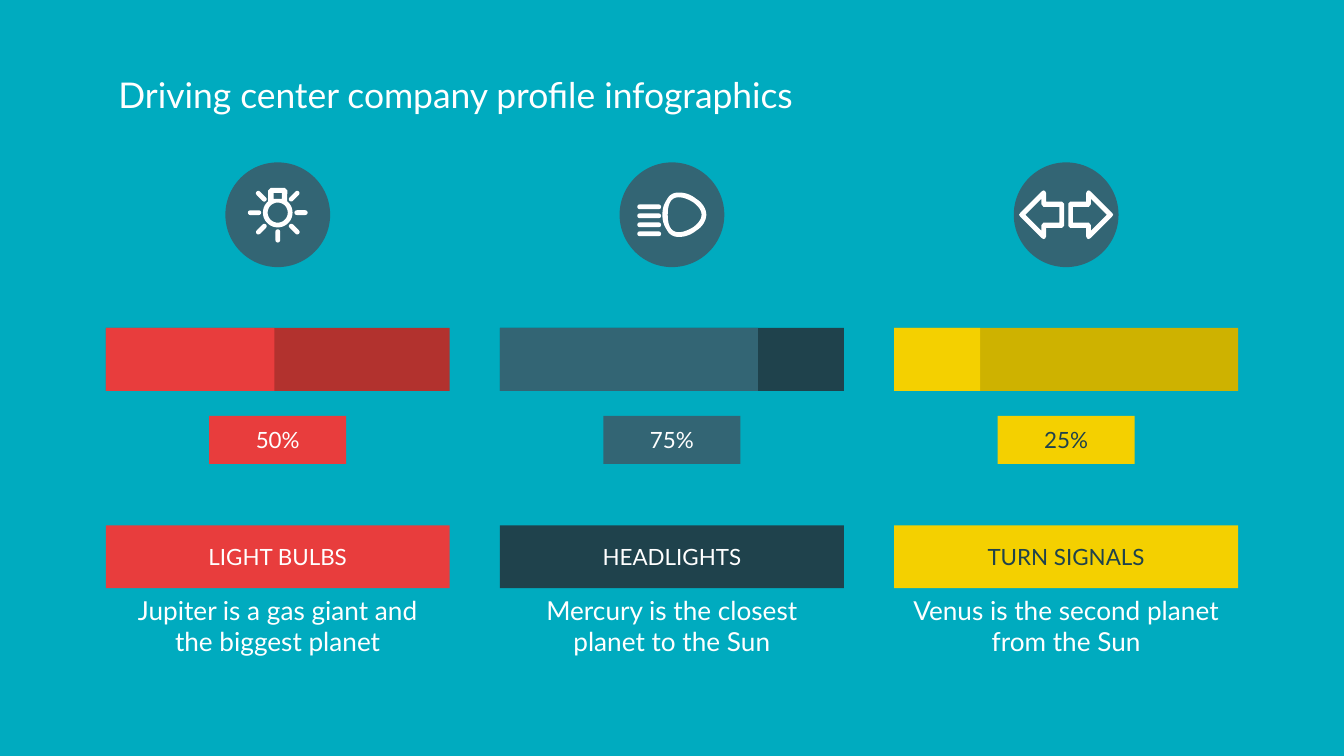
from dataclasses import dataclass
from math import cos, radians, sin

from pptx import Presentation
from pptx.dml.color import RGBColor
from pptx.enum.shapes import MSO_SHAPE as Preset
from pptx.enum.text import MSO_ANCHOR as Anchor, PP_ALIGN as Align
from pptx.util import Cm, Pt


@dataclass(frozen=True)
class Theme:
    font: str = "Lato"
    background: str = "00ABBF"
    white: str = "FFFFFF"
    red: str = "E83D3D"
    dark_red: str = "B2322E"
    slate: str = "336574"
    dark_slate: str = "1F424C"
    yellow: str = "F4D000"
    dark_yellow: str = "CEB200"
    title_size: int = 19
    label_size: int = 12
    body_size: int = 14


class Page:
    def __init__(self, slide, theme):
        self.slide = slide
        self.theme = theme
        slide.background.fill.solid()
        slide.background.fill.fore_color.rgb = RGBColor.from_string(theme.background)

    def paint(self, shape, color):
        shape.shadow.inherit = False
        shape.fill.solid()
        shape.fill.fore_color.rgb = RGBColor.from_string(color)
        shape.line.fill.background()

    def set_text(self, shape, text, size, color, align, anchor):
        frame = shape.text_frame
        frame.word_wrap = True
        frame.vertical_anchor = anchor
        frame.margin_left = frame.margin_right = Cm(0.25)
        frame.margin_top = frame.margin_bottom = Cm(0.25)
        paragraph = frame.paragraphs[0]
        paragraph.text = text
        paragraph.alignment = align
        paragraph.font.name = self.theme.font
        paragraph.font.size = Pt(size)
        paragraph.font.color.rgb = RGBColor.from_string(color)

    def text(self, box, text, size, align=Align.CENTER, anchor=Anchor.MIDDLE):
        shape = self.slide.shapes.add_textbox(*map(Cm, box))
        self.set_text(shape, text, size, self.theme.white, align, anchor)

    def block(self, box, color, preset=Preset.RECTANGLE):
        shape = self.slide.shapes.add_shape(preset, *map(Cm, box))
        self.paint(shape, color)
        return shape

    def label(self, box, color, text, text_color):
        shape = self.block(box, color)
        self.set_text(shape, text, self.theme.label_size, text_color,
                      Align.CENTER, Anchor.MIDDLE)

    def stroke(self, x, y, length, rotation=0):
        thickness = 0.09
        box = x - length / 2, y - thickness / 2, length, thickness
        shape = self.block(box, self.theme.white, Preset.ROUNDED_RECTANGLE)
        shape.adjustments[0] = 0.5
        shape.rotation = rotation

    def outline(self, x, y, *contours):
        placed = [[(Cm(x + dx), Cm(y + dy)) for dx, dy in contour]
                  for contour in contours]
        builder = self.slide.shapes.build_freeform(*placed[0][0])
        for index, (start, *rest) in enumerate(placed):
            if index:
                builder.move_to(*start)
            builder.add_line_segments(rest, close=True)
        self.paint(builder.convert_to_shape(), self.theme.white)


def arc(radius, first, last, step):
    return [(radius * sin(radians(angle)), -radius * cos(radians(angle)))
            for angle in range(first, last + 1, step)]


def curve(start, *segments, steps=8):
    points = [start]
    for control_a, control_b, end in segments:
        corners = points[-1], control_a, control_b, end
        for step in range(1, steps + 1):
            t = step / steps
            weights = (1 - t) ** 3, 3 * t * (1 - t) ** 2, 3 * t * t * (1 - t), t ** 3
            points.append(tuple(sum(weight * corner[axis] for weight, corner
                                    in zip(weights, corners)) for axis in (0, 1)))
    return points


def mirror_down(points):
    return points + [(x, -y) for x, y in reversed(points) if y]


def draw_bulb(page, x, y):
    y -= 0.04
    base = [(-0.18, -0.42), (-0.13, -0.47), (0.13, -0.47), (0.18, -0.42)]
    hole = [(-0.08, -0.37), (0.08, -0.37), (0.08, -0.26), (-0.08, -0.26)]
    page.outline(x, y, base + arc(0.28, 40, 320, 10), arc(0.19, 0, 350, 10), hole)
    for angle, (dx, dy) in zip(range(45, 360, 45), arc(0.44, 45, 315, 45)):
        page.stroke(x + dx, y + dy, 0.25, angle - 90)


def draw_headlight(page, x, y):
    outer = curve((-0.18, 0),
                  ((-0.18, -0.13), (-0.15, -0.2), (-0.1, -0.28)),
                  ((-0.05, -0.38), (0.03, -0.42), (0.13, -0.42)),
                  ((0.25, -0.42), (0.36, -0.38), (0.46, -0.3)),
                  ((0.58, -0.23), (0.65, -0.1), (0.65, 0)))
    inner = curve((-0.08, 0),
                  ((-0.08, -0.28), (0.03, -0.33), (0.13, -0.33)),
                  ((0.23, -0.33), (0.33, -0.28), (0.41, -0.23)),
                  ((0.51, -0.15), (0.56, -0.08), (0.56, 0)))
    page.outline(x, y, mirror_down(outer), mirror_down(inner))
    for row in range(4):
        page.stroke(x - 0.43, y - 0.15 + 0.17 * row, 0.45)


def draw_turn_signals(page, x, y):
    outer = mirror_down([(-0.89, 0), (-0.87, -0.03), (-0.46, -0.44), (-0.43, -0.46),
                         (-0.4, -0.45), (-0.38, -0.41), (-0.38, -0.25),
                         (-0.08, -0.25), (-0.04, -0.21)])
    inner = mirror_down([(-0.77, 0), (-0.47, -0.3), (-0.47, -0.2),
                         (-0.43, -0.15), (-0.13, -0.15)])
    for side in (1, -1):
        page.outline(x, y, *[[(side * dx, dy) for dx, dy in contour]
                             for contour in (outer, inner)])


@dataclass(frozen=True)
class Topic:
    name: str
    body: str
    percent: str
    share: float
    color: str
    rest_color: str
    name_color: str
    text_color: str
    draw_icon: object


def draw_topic(page, topic, left):
    width, height, badge, disc = 6.5, 1.19, 2.59, 1.98
    center = left + width / 2
    icon_top, bar_top, badge_top, name_top = 3.07, 6.2, 7.86, 9.93
    page.block((center - disc / 2, icon_top, disc, disc), page.theme.slate, Preset.OVAL)
    topic.draw_icon(page, center, icon_top + disc / 2)
    page.block((left, bar_top, width, height), topic.rest_color)
    page.block((left, bar_top, width * topic.share, height), topic.color)
    page.label((center - badge / 2, badge_top, badge, 0.91), topic.color,
               topic.percent, topic.text_color)
    page.label((left, name_top, width, height), topic.name_color,
               topic.name, topic.text_color)
    page.text((left, name_top + height, width, 1.4), topic.body, page.theme.body_size)


def main():
    theme = Theme()
    presentation = Presentation()
    presentation.slide_width, presentation.slide_height = Cm(25.4), Cm(14.29)
    page = Page(presentation.slides.add_slide(presentation.slide_layouts[6]), theme)
    page.text((1.99, 1.13, 21.44, 1.6), "Driving center company profile infographics",
              theme.title_size, Align.LEFT, Anchor.TOP)
    topics = [
        Topic("LIGHT BULBS", "Jupiter is a gas giant and the biggest planet", "50%", 0.49,
              theme.red, theme.dark_red, theme.red, theme.white, draw_bulb),
        Topic("HEADLIGHTS", "Mercury is the closest planet to the Sun", "75%", 0.75,
              theme.slate, theme.dark_slate, theme.dark_slate, theme.white,
              draw_headlight),
        Topic("TURN SIGNALS", "Venus is the second planet from the Sun", "25%", 0.25,
              theme.yellow, theme.dark_yellow, theme.yellow, theme.dark_slate,
              draw_turn_signals),
    ]
    for column, topic in enumerate(topics):
        draw_topic(page, topic, 2 + 7.45 * column)
    presentation.save("out.pptx")


if __name__ == "__main__":
    main()
